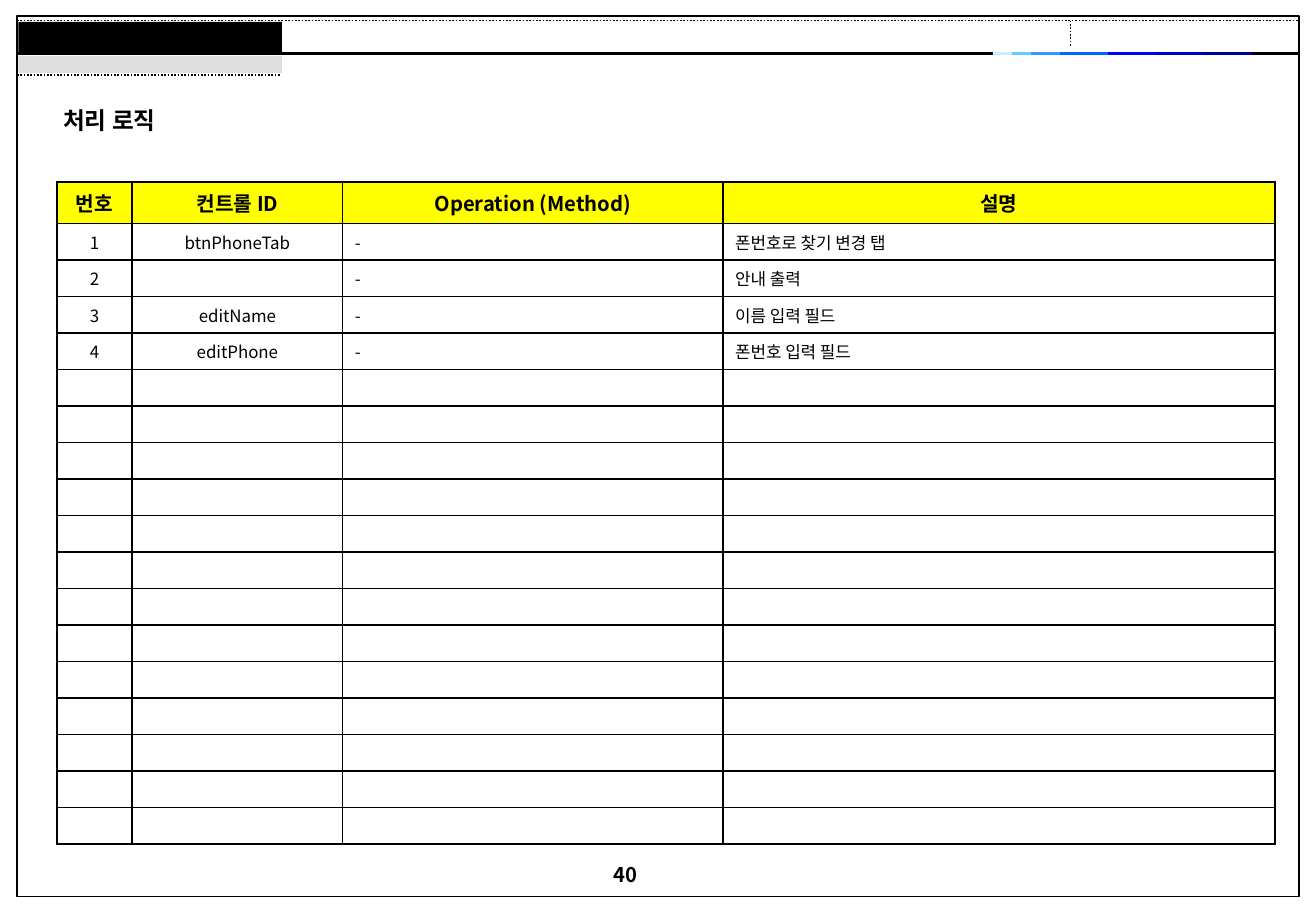
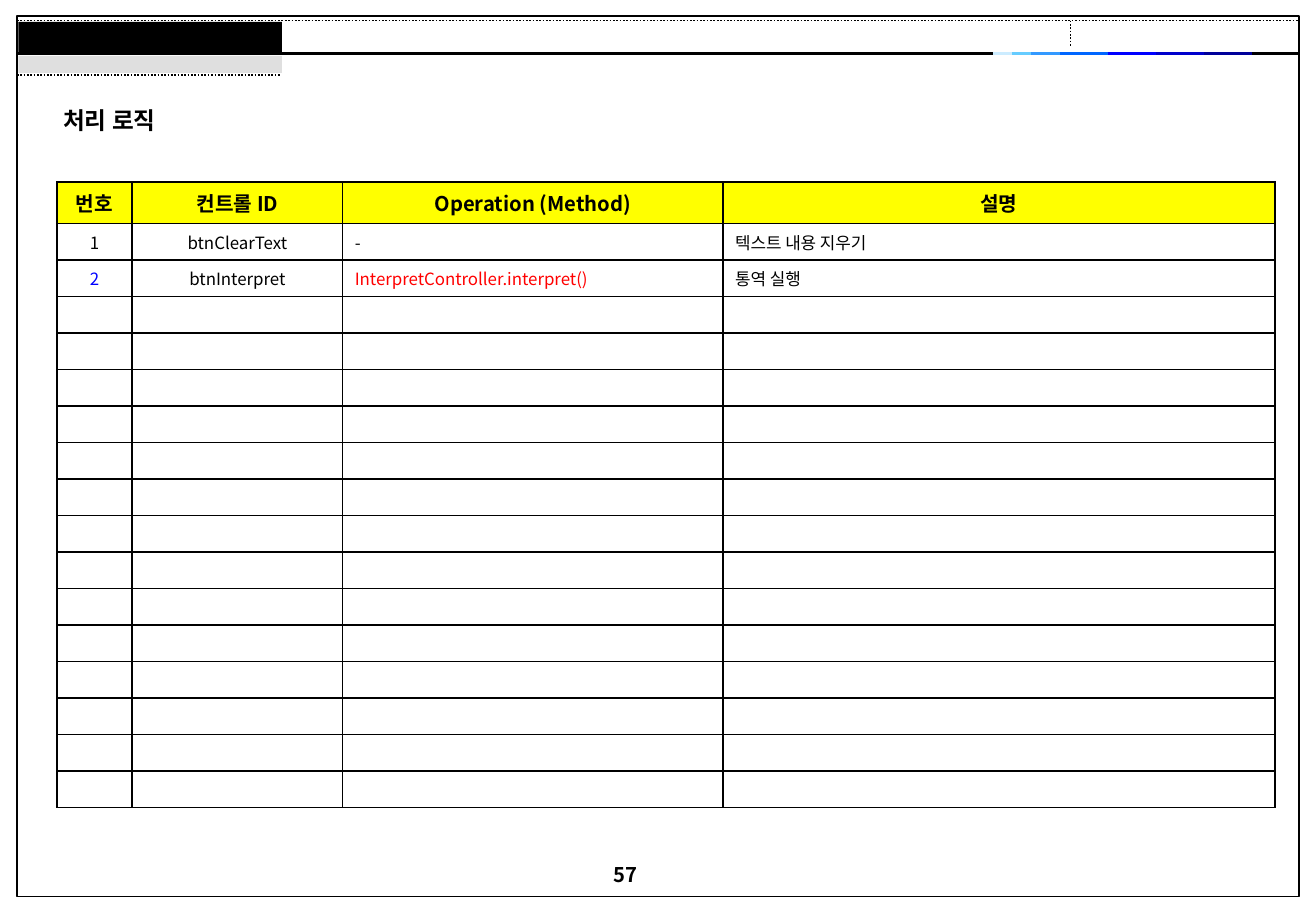
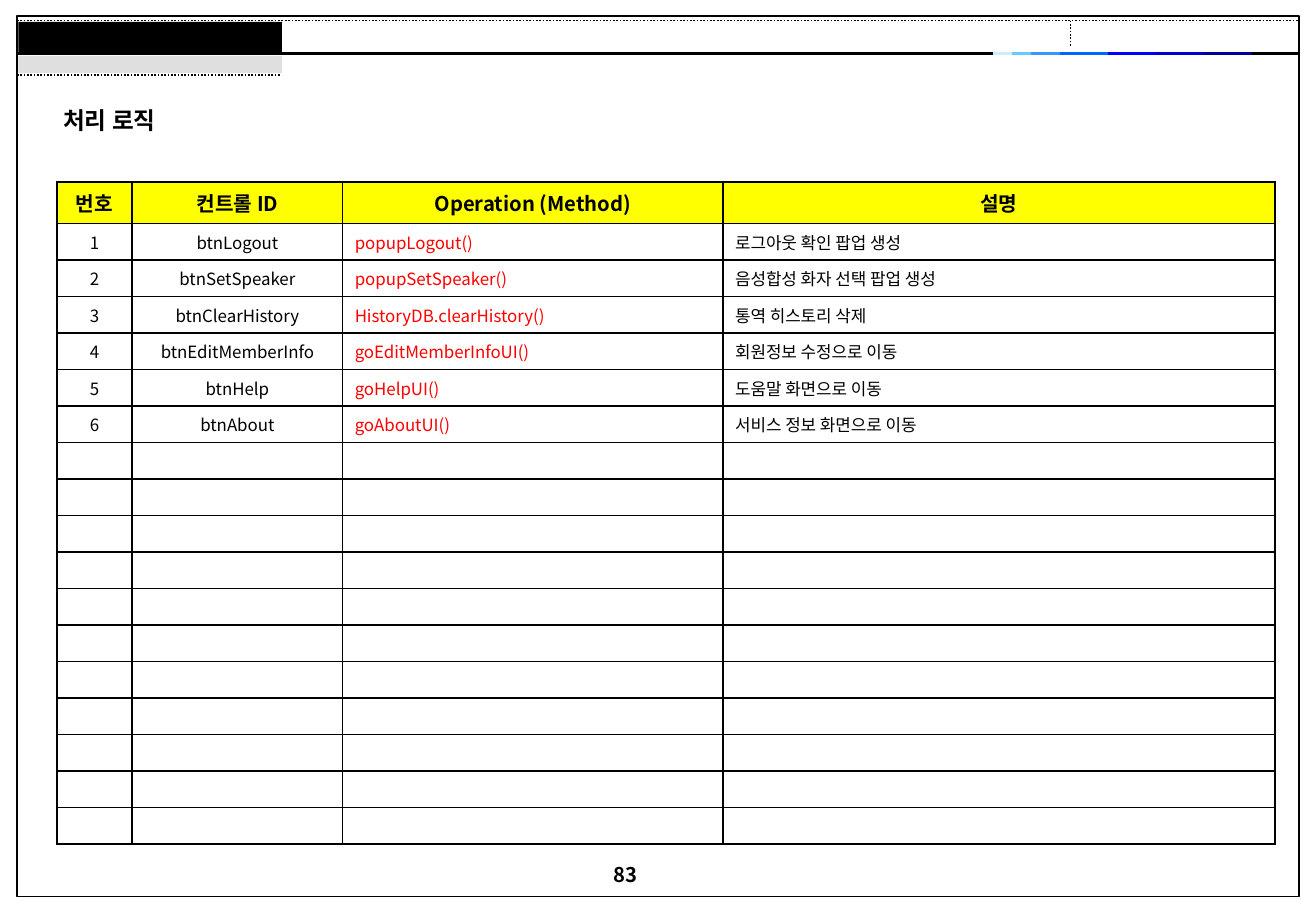
import pptx
import pptx.util
import pptx.dml.color
import pptx.enum.dml
import pptx.enum.shapes
import pptx.enum.text
import lxml.etree
from pptx.oxml.ns import qn

RGB = pptx.dml.color.RGBColor
BLACK = RGB(0x00, 0x00, 0x00)
GRAY = RGB(0xC0, 0xC0, 0xC0)
YELLOW = RGB(0xFF, 0xFF, 0x00)
RED = RGB(0xFF, 0x00, 0x00)
BLUE = RGB(0x00, 0x00, 0xFF)
SHADES = [
    (1.45, RGB(0xCC, 0xEC, 0xFF)),
    (1.45, RGB(0x66, 0xCC, 0xFF)),
    (2.2, RGB(0x33, 0x99, 0xFF)),
    (3.64, RGB(0x00, 0x66, 0xFF)),
    (3.64, BLUE),
    (3.64, RGB(0x00, 0x00, 0xCC)),
    (3.64, RGB(0x00, 0x00, 0x99)),
]
FONT = "Noto Sans CJK KR"
CENTER = pptx.enum.text.PP_ALIGN.CENTER
LEFT = pptx.enum.text.PP_ALIGN.LEFT
TOP = pptx.enum.text.MSO_ANCHOR.TOP
MIDDLE = pptx.enum.text.MSO_ANCHOR.MIDDLE
DOT = pptx.enum.dml.MSO_LINE.ROUND_DOT

deck = pptx.Presentation()
deck.slide_width = pptx.util.Inches(10.83)
deck.slide_height = pptx.util.Inches(7.5)
COL = deck.slide_width / 100
ROW = deck.slide_height / 100


def put(frame, text, size=10, bold=False, tone=BLACK, align=LEFT):
    para = frame.paragraphs[0]
    para.alignment = align
    if not text:
        end = lxml.etree.SubElement(para._p, qn("a:endParaRPr"), sz=str(size * 100))
        for tag in ("a:latin", "a:ea"):
            lxml.etree.SubElement(end, qn(tag), typeface=FONT)
        return
    run = para.add_run()
    run.text = text
    run.font.size = pptx.util.Pt(size)
    run.font.bold = bold
    run.font.color.rgb = tone
    run.font.name = FONT
    lxml.etree.SubElement(run.font._element, qn("a:ea"), typeface=FONT)


def rule(shapes, x1, y1, x2, y2, width=1, tone=BLACK, dash=None):
    line = shapes.add_connector(
        pptx.enum.shapes.MSO_CONNECTOR.STRAIGHT,
        int(x1 * COL), int(y1 * ROW), int(x2 * COL), int(y2 * ROW))
    line.line.width = pptx.util.Pt(width)
    line.line.color.rgb = tone
    line.line.dash_style = dash
    lxml.etree.SubElement(line._element.spPr, qn("a:effectLst"))
    return line


HEAD = ["번호", "컨트롤 ID", "Operation (Method)", "설명"]
WIDTHS = [5.7, 16, 28.9, 41.95]
PAGES = [
    ("40", 17, [], [
        ("btnPhoneTab", "-", "폰번호로 찾기 변경 탭"),
        ("", "-", "안내 출력"),
        ("editName", "-", "이름 입력 필드"),
        ("editPhone", "-", "폰번호 입력 필드"),
    ]),
    ("57", 16, ["2"], [
        ("btnClearText", "-", "텍스트 내용 지우기"),
        ("btnInterpret", "InterpretController.interpret()", "통역 실행"),
    ]),
    ("83", 17, [], [
        ("btnLogout", "popupLogout()", "로그아웃 확인 팝업 생성"),
        ("btnSetSpeaker", "popupSetSpeaker()", "음성합성 화자 선택 팝업 생성"),
        ("btnClearHistory", "HistoryDB.clearHistory()", "통역 히스토리 삭제"),
        ("btnEditMemberInfo", "goEditMemberInfoUI()", "회원정보 수정으로 이동"),
        ("btnHelp", "goHelpUI()", "도움말 화면으로 이동"),
        ("btnAbout", "goAboutUI()", "서비스 정보 화면으로 이동"),
    ]),
]

plan = deck.slide_layouts[5]
for holder in list(plan.placeholders)[1:]:
    holder._element.getparent().remove(holder._element)
title = plan.placeholders[0]
title.left, title.top = int(3.88 * COL), int(10.93 * ROW)
title.width, title.height = int(18.56 * COL), int(4.53 * ROW)
title.text_frame.vertical_anchor = TOP

slides = [deck.slides.add_slide(plan) for page in PAGES]

shapes = slides[0].shapes
decor = []
for x, y, wide, high, fill in [
    (1.29, 1.73, 97.42, 96.67, None),
    (1.39, 2.4, 20.04, 3.33, BLACK),
    (1.39, 6.13, 20.04, 1.87, GRAY),
]:
    box = shapes.add_shape(
        pptx.enum.shapes.MSO_SHAPE.RECTANGLE,
        int(x * COL), int(y * ROW), int(wide * COL), int(high * ROW))
    box.shadow.inherit = False
    if fill is None:
        box.fill.background()
        box.line.color.rgb = BLACK
        box.line.width = pptx.util.Pt(1)
    else:
        box.fill.solid()
        box.fill.fore_color.rgb = fill
        box.line.fill.background()
    if fill == GRAY:
        tint = box._element.spPr.find(".//" + qn("a:srgbClr"))
        lxml.etree.SubElement(tint, qn("a:alpha"), val="50000")
    decor.append(box)

decor.append(rule(shapes, 1.29, 5.87, 98.71, 5.87, width=2.25))
for x1, y1, x2, y2 in [
    (1.29, 2.27, 98.71, 2.27),
    (81.35, 2.27, 81.35, 5.07),
    (1.29, 8.27, 21.33, 8.27),
]:
    decor.append(rule(shapes, x1, y1, x2, y2, dash=DOT))
start = 75.44
for wide, tone in SHADES:
    decor.append(rule(shapes, start, 5.87, start + wide, 5.87, width=2.25, tone=tone))
    start += wide
for item in decor:
    plan.shapes._spTree.append(item._element)

for slide, (number, count, marks, items) in zip(slides, PAGES):
    put(slide.shapes.title.text_frame, "처리 로직", size=14, bold=True)

    foot = slide.shapes.add_textbox(
        int(45.7 * COL), int(94 * ROW), int(8.68 * COL), int(5.87 * ROW))
    foot.text_frame.word_wrap = True
    put(foot.text_frame, number, size=12, bold=True)

    grid = slide.shapes.add_table(
        count + 1, len(HEAD), int(4.34 * COL), int(20 * ROW),
        int(sum(WIDTHS) * COL), int((4.55 + 4.01 * count) * ROW)).table
    grid.first_row = False
    grid.horz_banding = False
    for column, wide in zip(grid.columns, WIDTHS):
        column.width = int(wide * COL)

    lines = [HEAD] + [(str(n), *item) for n, item in enumerate(items, 1)]
    lines += [[""] * len(HEAD)] * (count + 1 - len(lines))
    for r, line in enumerate(lines):
        grid.rows[r].height = int((4.01 if r else 4.55) * ROW)
        for c, text in enumerate(line):
            cell = grid.cell(r, c)
            cell.vertical_anchor = MIDDLE
            props = cell._tc.get_or_add_tcPr()
            for side in ("a:lnL", "a:lnR", "a:lnT", "a:lnB"):
                edge = lxml.etree.SubElement(props, qn(side), w="12700")
                ink = lxml.etree.SubElement(edge, qn("a:solidFill"))
                lxml.etree.SubElement(ink, qn("a:srgbClr"), val=str(BLACK))
            if r == 0:
                cell.fill.solid()
                cell.fill.fore_color.rgb = YELLOW
                put(cell.text_frame, text, size=12, bold=True, align=CENTER)
                continue
            cell.fill.background()
            tone = BLACK
            if c == 0 and text in marks:
                tone = BLUE
            elif c == 2 and text != "-":
                tone = RED
            put(cell.text_frame, text, tone=tone, align=CENTER if c < 2 else LEFT)

deck.save("out.pptx")
